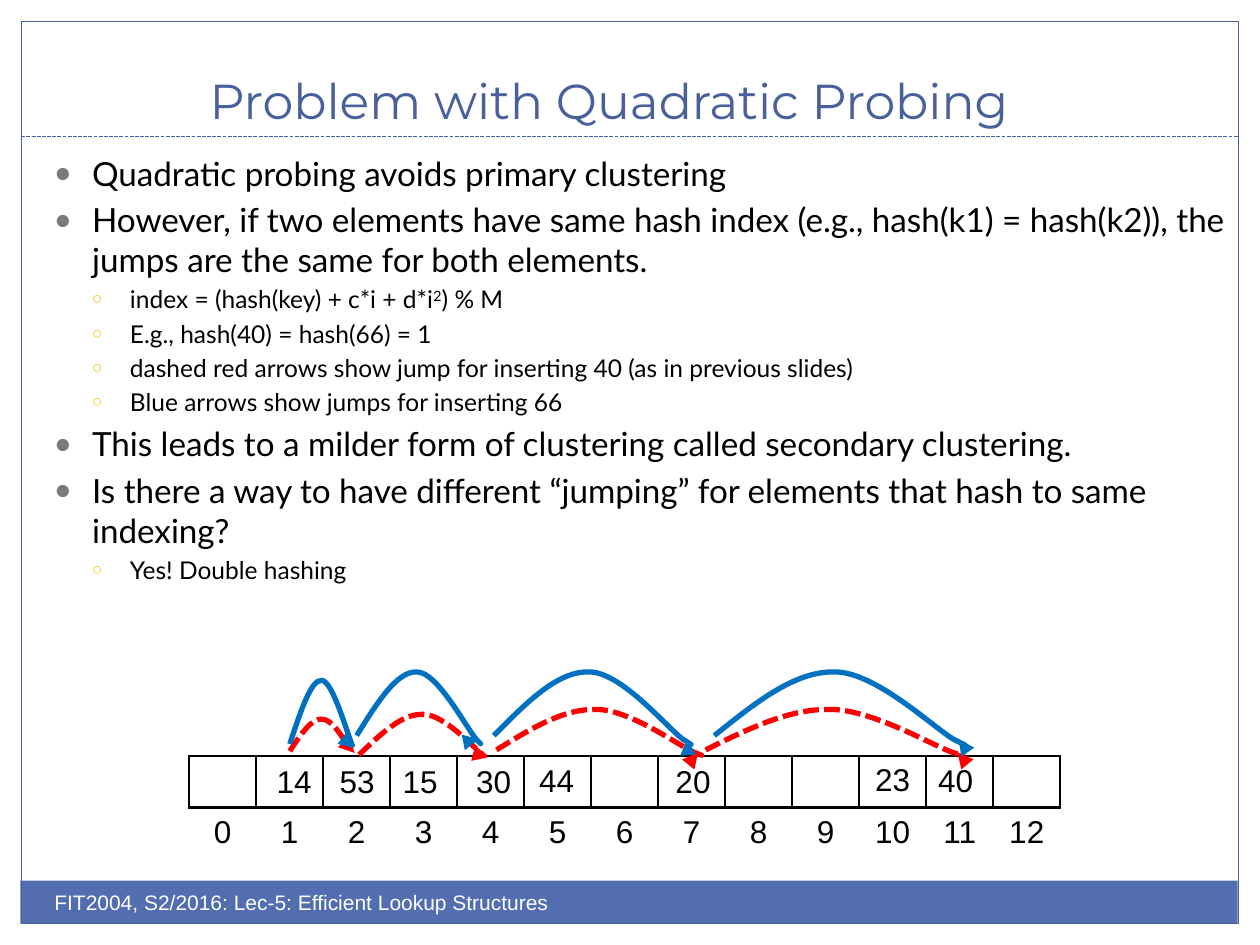
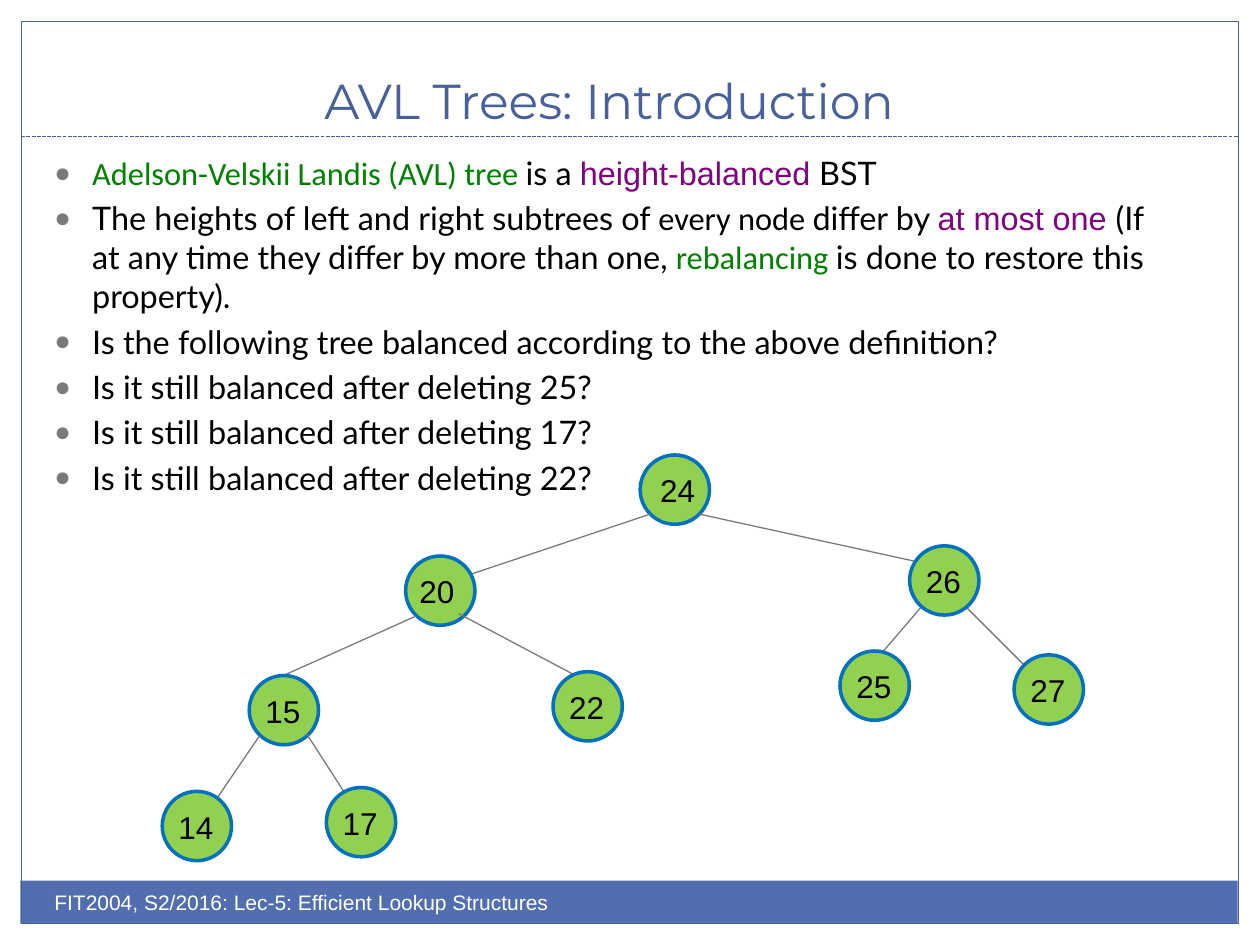
import lxml.etree
import pptx
import pptx.dml.color
import pptx.enum.dml
import pptx.enum.shapes
import pptx.enum.text
import pptx.oxml.ns
import pptx.util

Pt = pptx.util.Pt
RGBColor = pptx.dml.color.RGBColor
Align = pptx.enum.text.PP_ALIGN
Anchor = pptx.enum.text.MSO_ANCHOR
Shape = pptx.enum.shapes.MSO_SHAPE
DASH = pptx.enum.dml.MSO_LINE.SQUARE_DOT
qn = pptx.oxml.ns.qn

BLACK = RGBColor(0, 0, 0)
WHITE = RGBColor(0xFF, 0xFF, 0xFF)
NAVY = RGBColor(0x48, 0x60, 0x9B)
BAND = RGBColor(0x52, 0x6D, 0xB0)
GRAY = RGBColor(0x7A, 0x7A, 0x7A)
GOLD = RGBColor(0xF5, 0xC2, 0x01)
RED = RGBColor(0xFF, 0, 0)
BLUE = RGBColor(0, 0x70, 0xC0)
LIME = RGBColor(0x92, 0xD0, 0x50)
GREEN = RGBColor(0, 0x80, 0)
PURPLE = RGBColor(0x80, 0, 0x80)

FOOTER = "FIT2004, S2/2016: Lec-5: Efficient Lookup Structures"
PAGE_MARGINS = [(0, 0, 720, 109.4), (0, 0, 12.2, 540), (707.8, 0, 12.2, 540)]
PLAIN_TABLE_STYLE = "{2D5ABB26-0587-4C30-8999-92F81FD0307C}"
# Per level: character, colour, size in percent, left margin
BULLETS = [("●", GRAY, 85, 21.6), ("○", GOLD, 70, 43.2)]
HANGING = 21.6

TITLE_FONT = {"name": "Montserrat", "size": Pt(28), "color": NAVY}
FOOTER_FONT = {"name": "Arial", "size": Pt(12), "color": WHITE}
NUMBER_FONT = {"name": "Arial", "size": Pt(18), "color": BLACK}
PLAIN = {"name": "Lato", "color": BLACK}
SUPERSCRIPT = {**PLAIN, "baseline": 30000}
TERM = {"name": "Calibri", "color": GREEN}
STRESS = {"name": "Arial", "color": PURPLE}
QUIET = {"name": "Calibri", "color": BLACK}

# Each paragraph is its level and its spans of text and format
PROBING_POINTS = [
    (0, [("Quadratic probing avoids primary clustering", PLAIN)]),
    (0, [("However, if two elements have same hash index (e.g., hash(k1) = hash(k2)), "
          "the jumps are the same for both elements.", PLAIN)]),
    (1, [("index = (hash(key) + c*i + d*i", PLAIN), ("2", SUPERSCRIPT), (") % M", PLAIN)]),
    (1, [("E.g., hash(40) = hash(66) = 1", PLAIN)]),
    (1, [("dashed red arrows show jump for inserting 40 (as in previous slides)", PLAIN)]),
    (1, [("Blue arrows show jumps for inserting 66", PLAIN)]),
    (0, [("This leads to a milder form of clustering called secondary clustering.", PLAIN)]),
    (0, [("Is there a way to have different “jumping” for elements that hash to same "
          "indexing?", PLAIN)]),
    (1, [("Yes! Double hashing", PLAIN)]),
]
AVL_POINTS = [
    (0, [("Adelson-Velskii Landis (AVL) tree ", TERM), ("is a ", PLAIN),
         ("height-balanced ", STRESS), ("BST", PLAIN)]),
    (0, [("The heights of left and right subtrees of ", PLAIN), ("every node ", QUIET),
         ("differ by ", PLAIN), ("at most one ", STRESS),
         ("(If at any time they differ by more than one, ", PLAIN), ("rebalancing ", TERM),
         ("is done to restore this property).", PLAIN)]),
    (0, [("Is the following tree balanced according to the above definition?", PLAIN)]),
] + [(0, [(f"Is it still balanced after deleting {key}?", PLAIN)]) for key in (25, 17, 22)]

# Hash table: slot count, and each stored key with the place of its label
SLOTS = 13
SLOT_WIDTH, SLOT_HEIGHT = 38.3, 29.5
STORED_KEYS = [("30", 258, 432), ("44", 294, 431.5), ("14", 144, 432), ("53", 180, 432),
               ("15", 216, 432), ("23", 486, 430.5), ("20", 372, 432), ("40", 522, 431.5)]

# Bezier points of one jump, as fractions of its width and height
JUMP = [(0, .87), (.16, .43), (.32, -.02), (.48, 0), (.64, 0), (.87, .76),
        (.95, .92), (1.03, 1.06), (1, 1), (.97, .92)]
RED_JUMPS = [(165.6, 411, 38.2, 21), (205.2, 408.2, 76.3, 26.6),
             (283.7, 405.4, 118.8, 26.6), (403.2, 405.4, 148.3, 26.6)]
BLUE_JUMPS = [(165.6, 388.8, 38.2, 41.8), (203.8, 384, 72, 41.8),
              (282.2, 384, 113.8, 41.8), (408.2, 384, 144, 41.8)]

NODE_SIZE = 39.6
# Per tree level: edges (from x, y, to x, y), then nodes (key, left, top, label shift)
TREE_LEVELS = [
    ([], [("24", 365.8, 260, 4.3)]),
    ([(371.5, 293.8, 251.3, 334.1), (399.6, 293.8, 537.8, 324),
      (585.4, 380.2, 540, 334.8), (539.3, 331.9, 499.7, 378)],
     [("20", 231.8, 317.7, 0.7), ("26", 519.8, 311.9, 2.2)]),
    ([(237.6, 352.1, 162, 386), (262, 350.6, 335.5, 389.5)],
     [("15", 142.4, 386, 2.2), ("22", 316, 383.8, 2.2),
      ("25", 480, 372, 2.2), ("27", 579.5, 374.2, 2.2)]),
    ([(148.3, 420.5, 113, 472.3), (175, 419, 206.6, 468)],
     [("14", 92.7, 452.2, 2.2), ("17", 186.5, 450, 2.2)]),
]


def points(*values):
    return [Pt(value) for value in values]


def add_child(parent, tag, **attributes):
    child = lxml.etree.SubElement(parent, qn(tag))
    for name, value in attributes.items():
        child.set(name, str(value))
    return child


def add_span(para, text, formats):
    span = para.add_run()
    span.text = text
    for name, value in formats.items():
        if name == "color":
            span.font.color.rgb = value
        elif name == "baseline":
            span._r.get_or_add_rPr().set("baseline", str(value))
        else:
            setattr(span.font, name, value)


def add_text(shapes, place, text, formats, align=Align.LEFT, anchor=Anchor.TOP, wrap=True):
    frame = shapes.add_textbox(*points(*place)).text_frame
    frame.word_wrap = wrap
    frame.vertical_anchor = anchor
    para = frame.paragraphs[0]
    para.alignment = align
    add_span(para, text, formats)


def style_line(line, color, width, dash=None):
    line.color.rgb = color
    line.width = Pt(width)
    if dash is not None:
        line.dash_style = dash


def add_preset(shapes, kind, place, fill=None, outline=None):
    """Add a preset shape; outline is a colour and a width."""
    shape = shapes.add_shape(kind, *points(*place))
    shape.shadow.inherit = False
    if fill is None:
        shape.fill.background()
    else:
        shape.fill.solid()
        shape.fill.fore_color.rgb = fill
    if outline:
        style_line(shape.line, *outline)
    else:
        shape.line.fill.background()


def add_rule(page, ends, color, dash=None):
    rule = page.shapes.add_connector(pptx.enum.shapes.MSO_CONNECTOR.STRAIGHT, *points(*ends))
    style_line(rule.line, color, 0.75, dash)
    add_child(rule._element.spPr, "a:effectLst")


def add_bullets(page, place, items, sizes):
    """Add a bulleted list; sizes holds the text size of each level."""
    frame = page.shapes.add_textbox(*points(*place)).text_frame
    frame.word_wrap = True
    for number, (level, spans) in enumerate(items):
        para = frame.add_paragraph() if number else frame.paragraphs[0]
        character, color, percent, margin = BULLETS[level]
        properties = para._p.get_or_add_pPr()
        properties.set("marL", str(Pt(margin)))
        properties.set("indent", str(-Pt(HANGING)))
        add_child(add_child(properties, "a:buClr"), "a:srgbClr", val=color)
        add_child(properties, "a:buSzPct", val=percent * 1000)
        add_child(properties, "a:buFont", typeface="Arial")
        add_child(properties, "a:buChar", char=character)
        para.level = level
        if number:
            para.space_before = Pt(sizes[level] * 0.2)
        for text, formats in spans:
            add_span(para, text, {"size": Pt(sizes[level]), **formats})


def add_page(deck, title):
    """Add a blank page with the shared frame, title and footer."""
    page = deck.slides.add_slide(deck.slide_layouts[6])
    for place in PAGE_MARGINS:
        add_preset(page.shapes, Shape.RECTANGLE, place, fill=WHITE)
    add_preset(page.shapes, Shape.RECTANGLE, (11.7, 503.3, 695.5, 24.5), fill=BAND)
    add_preset(page.shapes, Shape.RECTANGLE, (12.2, 12.2, 695.5, 515.5), outline=(NAVY, 0.75))
    add_rule(page, (12.2, 78, 707.8, 78), NAVY, DASH)
    add_text(page.shapes, (-6, 18, 708, 59.6), title, TITLE_FONT, Align.CENTER, Anchor.BOTTOM)
    add_text(page.shapes, (24, 505, 360, 28.8), FOOTER, FOOTER_FONT)
    return page


def border_cell(cell):
    properties = cell._tc.get_or_add_tcPr()
    for tag, width in (("a:lnL", 1), ("a:lnR", 1), ("a:lnT", 1), ("a:lnB", 2)):
        border = add_child(properties, tag, w=Pt(width))
        add_child(add_child(border, "a:solidFill"), "a:srgbClr", val=BLACK)


def add_slot_row(page, top, labels=(), bordered=False):
    table = page.shapes.add_table(
        1, SLOTS, *points(108, top, SLOTS * SLOT_WIDTH, SLOT_HEIGHT)).table
    table.first_row = table.horz_banding = False
    table._tbl.tblPr.find(qn("a:tableStyleId")).text = PLAIN_TABLE_STYLE
    table.rows[0].height = Pt(SLOT_HEIGHT)
    for column in table.columns:
        column.width = Pt(SLOT_WIDTH)
    for cell in table.iter_cells():
        if bordered:
            border_cell(cell)
        cell.fill.background()
    for cell, label in zip(table.iter_cells(), labels):
        para = cell.text_frame.paragraphs[0]
        para.alignment = Align.CENTER
        add_span(para, label, NUMBER_FONT)


def curve_segments(shape):
    """Turn each three straight segments of a freeform into one cubic curve."""
    segments = list(shape._element.iter(qn("a:lnTo")))
    for first in range(0, len(segments), 3):
        curve = lxml.etree.Element(qn("a:cubicBezTo"))
        segments[first].addprevious(curve)
        for segment in segments[first:first + 3]:
            curve.append(segment[0])
            segment.getparent().remove(segment)


def add_jump(page, place, color, dash=None):
    left, top, width, height = place
    outline = [points(left + x * width, top + y * height) for x, y in JUMP]
    builder = page.shapes.build_freeform(*outline[0])
    builder.add_line_segments(outline[1:], close=False)
    arrow = builder.convert_to_shape()
    curve_segments(arrow)
    arrow.shadow.inherit = False
    arrow.fill.background()
    style_line(arrow.line, color, 3, dash)
    add_child(arrow.line._get_or_add_ln(), "a:tailEnd", type="triangle")


def add_node(page, key, left, top, shift):
    group = page.shapes.add_group_shape()
    add_preset(group.shapes, Shape.OVAL, (left, top, NODE_SIZE, NODE_SIZE), LIME, (BLUE, 2))
    add_text(group.shapes, (left + shift, top + 5.8, 34.5, 28.8), key, NUMBER_FONT, wrap=False)


def build_probing_page(deck):
    page = add_page(deck, "Problem with Quadratic Probing")
    add_bullets(page, (24, 84, 684, 318), PROBING_POINTS, (19, 14))
    add_slot_row(page, 432, bordered=True)
    add_slot_row(page, 462, [str(index) for index in range(SLOTS)])
    for key, left, top in STORED_KEYS:
        add_text(page.shapes, (left, top, 48, 28.8), key, NUMBER_FONT,
                 Align.CENTER, Anchor.MIDDLE)
    for place in RED_JUMPS:
        add_jump(page, place, RED, DASH)
    for place in BLUE_JUMPS:
        add_jump(page, place, BLUE)


def build_avl_page(deck):
    page = add_page(deck, "AVL Trees: Introduction")
    add_bullets(page, (24, 84, 638, 196), AVL_POINTS, (18.5,))
    for edges, nodes in TREE_LEVELS:
        for ends in edges:
            add_rule(page, ends, GRAY)
        for node in nodes:
            add_node(page, *node)


def main():
    deck = pptx.Presentation()
    deck.slide_width, deck.slide_height = points(720, 540)
    build_probing_page(deck)
    build_avl_page(deck)
    deck.save("out.pptx")


if __name__ == "__main__":
    main()
